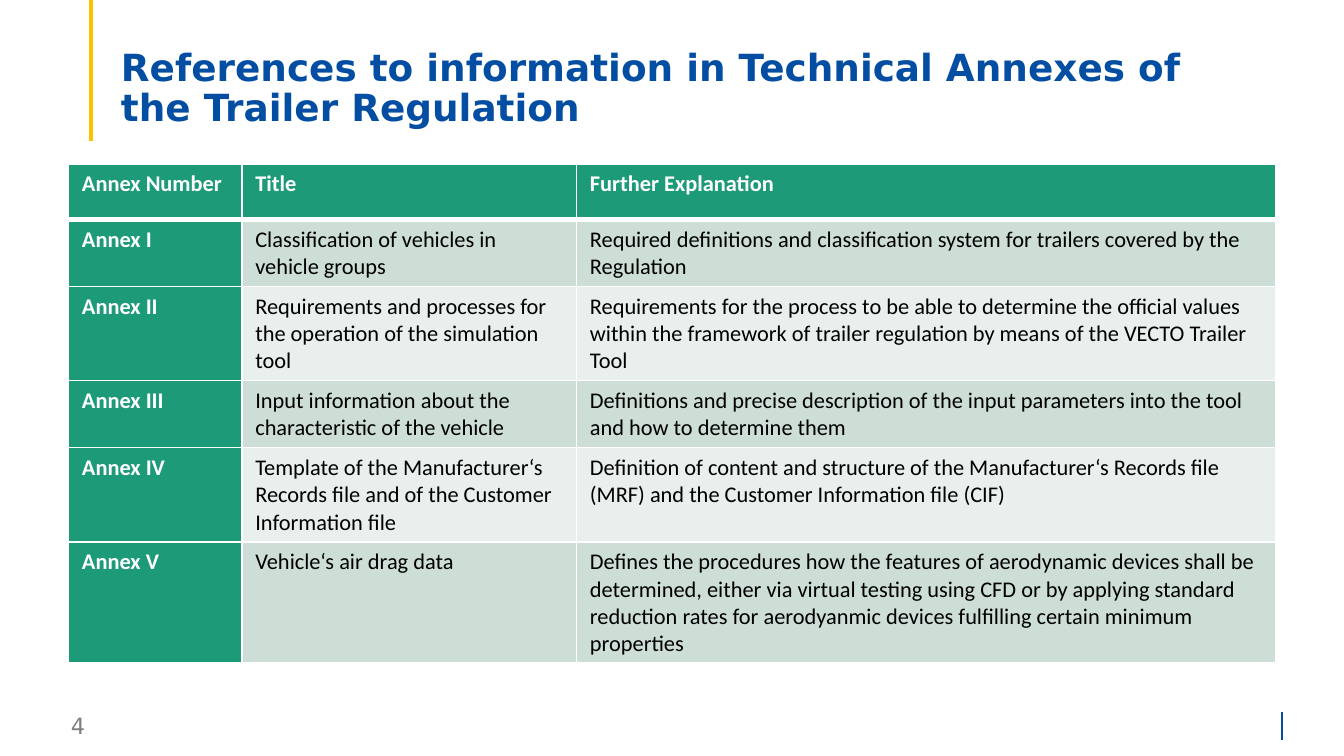
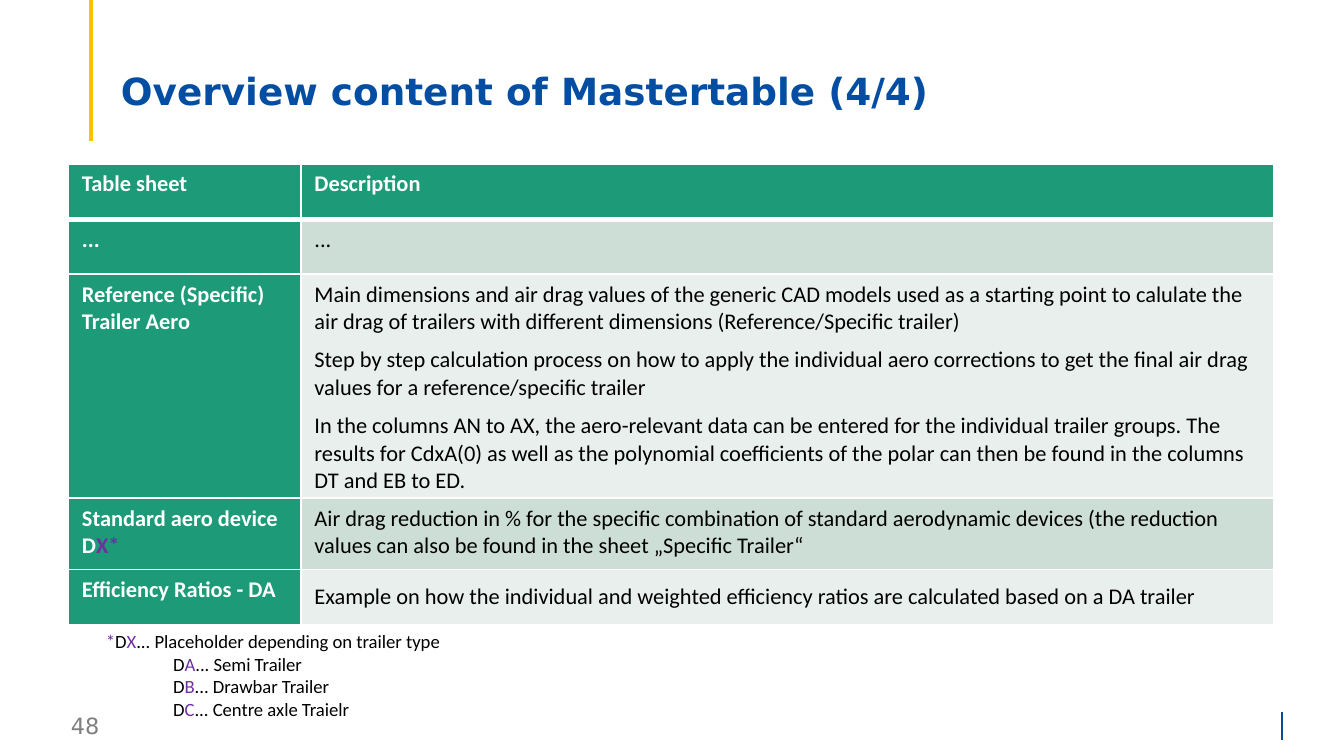
from pptx import Presentation
from pptx.dml.color import RGBColor
from pptx.enum.shapes import MSO_CONNECTOR
from pptx.enum.text import MSO_ANCHOR, MSO_AUTO_SIZE, PP_ALIGN
from pptx.oxml.ns import qn
from pptx.util import Inches, Pt
from lxml import etree

STRAIGHT = MSO_CONNECTOR.STRAIGHT
TOP, MIDDLE = MSO_ANCHOR.TOP, MSO_ANCHOR.MIDDLE
LEFT = PP_ALIGN.LEFT
NO_AUTOFIT = MSO_AUTO_SIZE.NONE

BLUE = RGBColor(0x03, 0x4E, 0xA2)
YELLOW = RGBColor(0xFF, 0xC0, 0x00)
GRAY = RGBColor(0x7F, 0x7F, 0x7F)
GREEN = RGBColor(0x1D, 0x9A, 0x78)
BANDS = (RGBColor(0xCD, 0xDE, 0xD6), RGBColor(0xE8, 0xEF, 0xEC))
PURPLE = RGBColor(0x70, 0x30, 0xA0)
WHITE = RGBColor(0xFF, 0xFF, 0xFF)
BLACK = RGBColor(0x00, 0x00, 0x00)

HEADING_FONT = "DejaVu Sans"
BODY_FONT = "Calibri"
TITLE_ONLY = 5
ROW_HEIGHT = 0.41

ANNEX_ROWS = [
    ("Annex Number", "Title", "Further Explanation"),
    ("Annex I", "Classification of vehicles in vehicle groups",
     "Required definitions and classification system for trailers covered by the Regulation"),
    ("Annex II", "Requirements and processes for the operation of the simulation tool",
     "Requirements for the process to be able to determine the official values within the "
     "framework of trailer regulation by means of the VECTO Trailer Tool"),
    ("Annex III", "Input information about the characteristic of the vehicle",
     "Definitions and precise description of the input parameters into the tool and how to "
     "determine them"),
    ("Annex IV", "Template of the Manufacturer‘s Records file and of the Customer Information file",
     "Definition of content and structure of the Manufacturer‘s Records file (MRF) and the "
     "Customer Information file (CIF)"),
    ("Annex V", "Vehicle‘s air drag data",
     "Defines the procedures how the features of aerodynamic devices shall be determined, "
     "either via virtual testing using CFD or by applying standard reduction rates for "
     "aerodyanmic devices fulfilling certain minimum properties"),
]

# A cell is a string, or a list of paragraphs; a paragraph is a string or a list of (text, colour)
SHEET_ROWS = [
    ("Table sheet", "Description"),
    ("...", "..."),
    ("Reference (Specific) Trailer Aero", [
        "Main dimensions and air drag values of the generic CAD models used as a starting point "
        "to calulate the air drag of trailers with different dimensions (Reference/Specific trailer)",
        "Step by step calculation process on how to apply the individual aero corrections to get "
        "the final air drag values for a reference/specific trailer",
        "In the columns AN to AX, the aero-relevant data can be entered for the individual trailer "
        "groups. The results for CdxA(0) as well as the polynomial coefficients of the polar can "
        "then be found in the columns DT and EB to ED."]),
    ([[("Standard aero device D", WHITE), ("X*", PURPLE)]],
     "Air drag reduction in % for the specific combination of standard aerodynamic devices (the "
     "reduction values can also be found in the sheet „Specific Trailer“"),
    ("Efficiency Ratios - DA",
     "Example on how the individual and weighted efficiency ratios are calculated based on a DA trailer"),
]

TRAILER_TYPES = [("A", "Semi Trailer"), ("B", "Drawbar Trailer"), ("C", "Centre axle Traielr")]


def write_paragraphs(frame, paragraphs, font, size, color, bold=False, space_before=0):
    for index, content in enumerate(paragraphs):
        paragraph = frame.add_paragraph() if index else frame.paragraphs[0]
        paragraph.alignment = LEFT
        if index and space_before:
            paragraph.space_before = Pt(space_before)
        paragraph.font.name = font
        paragraph.font.size = Pt(size)
        paragraph.font.bold = bold
        paragraph.font.color.rgb = color
        runs = [(content, None)] if isinstance(content, str) else content
        for text, run_color in runs:
            run = paragraph.add_run()
            run.text = text
            if run_color is not None:
                run.font.color.rgb = run_color


def add_line(slide, x, top, bottom, color, width):
    line = slide.shapes.add_connector(STRAIGHT, Inches(x), Inches(top), Inches(x), Inches(bottom))
    line.line.color.rgb = color
    line.line.width = Pt(width)
    etree.SubElement(line._element.spPr, qn("a:effectLst"))


def add_text_box(slide, box, anchor=TOP):
    frame = slide.shapes.add_textbox(*map(Inches, box)).text_frame
    frame.word_wrap = True
    frame.vertical_anchor = anchor
    return frame


def add_base_slide(presentation, title, title_box, number):
    """Slide with accent lines, page number and title."""
    slide = presentation.slides.add_slide(presentation.slide_layouts[TITLE_ONLY])
    page = add_text_box(slide, (0.43, 5.25, 2.33, 0.3), MIDDLE)
    page.margin_top = page.margin_bottom = 0
    write_paragraphs(page, [number], HEADING_FONT, 12, GRAY)
    add_line(slide, 9.54, 5.3, 5.51, BLUE, 1)
    add_line(slide, 0.68, -0.01, 1.05, YELLOW, 2.25)

    shape = slide.shapes.title
    shape.left, shape.top, shape.width, shape.height = map(Inches, title_box)
    frame = shape.text_frame
    frame.word_wrap = True
    frame.auto_size = NO_AUTOFIT
    frame.vertical_anchor = MIDDLE
    write_paragraphs(frame, [title], HEADING_FONT, 20, BLUE, bold=True)
    frame.paragraphs[0].line_spacing = 0.9
    return slide


def set_borders(cell, top, bottom):
    properties = cell._tc.get_or_add_tcPr()
    for side, width in (("L", 1), ("R", 1), ("T", top), ("B", bottom)):
        border = etree.SubElement(properties, qn(f"a:ln{side}"), w=str(Pt(width)))
        fill = etree.SubElement(border, qn("a:solidFill"))
        etree.SubElement(fill, qn("a:srgbClr"), val=str(WHITE))


def add_banded_table(slide, left, top, widths, heights, rows):
    """Table with green header row and first column, and banded body cells."""
    table = slide.shapes.add_table(
        len(rows), len(widths), Inches(left), Inches(top),
        Inches(sum(widths)), Inches(sum(heights))).table
    for column, width in zip(table.columns, widths):
        column.width = Inches(width)
    for row_index, (row, height) in enumerate(zip(rows, heights)):
        table.rows[row_index].height = Inches(height)
        for column_index, content in enumerate(row):
            cell = table.cell(row_index, column_index)
            heading = row_index == 0 or column_index == 0
            set_borders(cell, 3 if row_index == 1 else 1, 3 if row_index == 0 else 1)
            cell.fill.solid()
            cell.fill.fore_color.rgb = GREEN if heading else BANDS[(row_index - 1) % 2]
            paragraphs = [content] if isinstance(content, str) else content
            write_paragraphs(cell.text_frame, paragraphs, BODY_FONT, 12,
                             WHITE if heading else BLACK, heading, space_before=6)
    return table


def add_type_legend(slide, box):
    """Footnote that explains the trailer type letters."""
    frame = add_text_box(slide, box)
    lines = [[("*", PURPLE), ("D", BLACK), ("X", PURPLE),
              ("... Placeholder depending on trailer type", BLACK)]]
    lines += [[("D", BLACK), (letter, PURPLE), (f"... {name}", BLACK)]
              for letter, name in TRAILER_TYPES]
    write_paragraphs(frame, lines, BODY_FONT, 10, BLACK)
    for paragraph in frame.paragraphs[1:]:
        paragraph._p.get_or_add_pPr().set("marL", str(Inches(0.5)))


def build_annex_slide(presentation):
    slide = add_base_slide(
        presentation, "References to information in Technical Annexes of the Trailer Regulation",
        (0.8, 0.12, 8.62, 1.09), "4")
    add_banded_table(slide, 0.51, 1.22, (1.29, 2.49, 5.2),
                     [ROW_HEIGHT] * len(ANNEX_ROWS), ANNEX_ROWS)


def build_sheet_slide(presentation):
    slide = add_base_slide(presentation, "Overview content of Mastertable (4/4)",
                           (0.8, 0.15, 8.52, 1.09), "48")
    heights = [ROW_HEIGHT] * 3 + [0.53, ROW_HEIGHT]
    table = add_banded_table(slide, 0.51, 1.22, (1.73, 7.24), heights, SHEET_ROWS)
    table.cell(len(SHEET_ROWS) - 1, 1).vertical_anchor = MIDDLE
    add_type_legend(slide, (0.69, 4.64, 2.72, 0.77))


def main():
    presentation = Presentation()
    # 16:9 page
    presentation.slide_width = Inches(10)
    presentation.slide_height = Inches(10) * 9 // 16
    build_annex_slide(presentation)
    build_sheet_slide(presentation)
    presentation.save("out.pptx")


if __name__ == "__main__":
    main()
